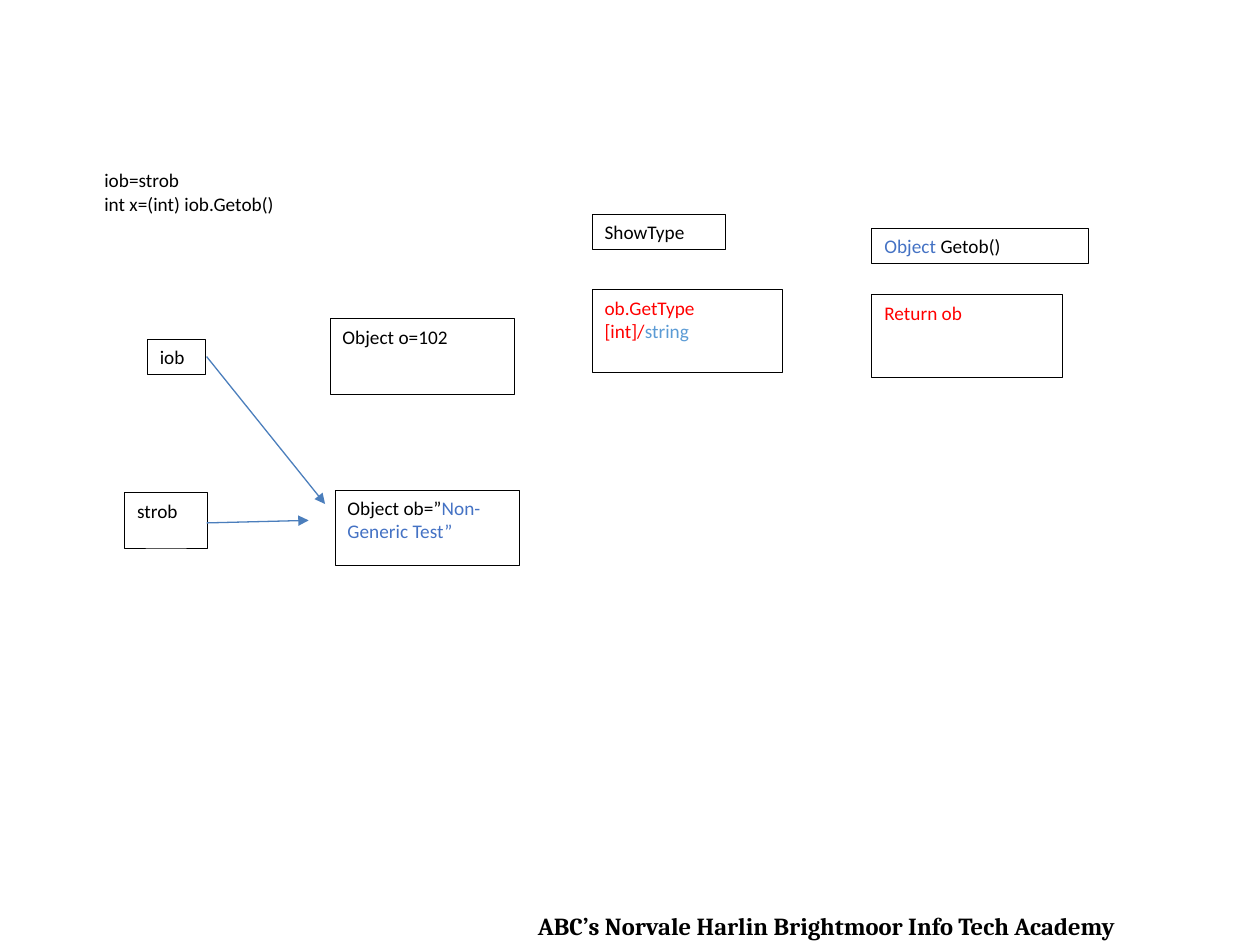
from lxml.etree import SubElement
from pptx import Presentation
from pptx.dml.color import RGBColor
from pptx.enum.shapes import MSO_CONNECTOR, MSO_SHAPE
from pptx.enum.text import MSO_ANCHOR, PP_ALIGN
from pptx.oxml.ns import qn
from pptx.util import Inches, Pt

BLACK, WHITE, RED = "000000", "FFFFFF", "FF0000"
BLUE, SKY, STEEL = "4472C4", "5B9BD5", "4B7EBC"


def color(code):
    return RGBColor.from_string(code)


def write(shape, lines, size=11, face="Calibri", bold=False, align=PP_ALIGN.LEFT):
    """Fill a shape with lines, each a list of (text, colour) runs."""
    frame = shape.text_frame
    frame.word_wrap = True
    frame.vertical_anchor = MSO_ANCHOR.TOP
    for i, line in enumerate(lines):
        para = frame.paragraphs[0] if i == 0 else frame.add_paragraph()
        para.alignment = align
        for text, code in line:
            run = para.add_run()
            run.text = text
            run.font.size = Pt(size)
            run.font.name = face
            run.font.bold = bold
            run.font.color.rgb = color(code)


def add_label(slide, x, y, w, h, lines, **style):
    label = slide.shapes.add_textbox(Inches(x), Inches(y), Inches(w), Inches(h))
    write(label, lines, **style)


def add_box(slide, x, y, w, h, *lines):
    box = slide.shapes.add_shape(
        MSO_SHAPE.RECTANGLE, Inches(x), Inches(y), Inches(w), Inches(h))
    box.shadow.inherit = False
    box.fill.solid()
    box.fill.fore_color.rgb = color(WHITE)
    box.line.color.rgb = color(BLACK)
    box.line.width = Pt(0.5)
    write(box, lines)


def add_arrow(slide, x1, y1, x2, y2):
    arrow = slide.shapes.add_connector(
        MSO_CONNECTOR.STRAIGHT, Inches(x1), Inches(y1), Inches(x2), Inches(y2))
    arrow.line.color.rgb = color(STEEL)
    arrow.line.width = Pt(0.75)
    SubElement(arrow.line._get_or_add_ln(), qn("a:tailEnd"), type="triangle")
    SubElement(arrow._element.spPr, qn("a:effectLst"))


def add_code(slide, x, y, w, h):
    add_label(slide, x, y, w, h,
              [[("iob=strob", BLACK)], [("int x=(int) iob.Getob()", BLACK)]])


def add_objects(slide, x, y):
    """Variables on the left, the objects they refer to on the right."""
    add_box(slide, x + 0.18, y + 0.16, 0.46, 0.28, [("iob", BLACK)])
    add_box(slide, x + 1.63, y, 1.46, 0.6, [("Object o=102", BLACK)])
    add_box(slide, x, y + 1.38, 0.66, 0.44, [("strob", BLACK)])
    add_box(slide, x + 1.67, y + 1.36, 1.46, 0.6,
            [("Object ob=”", BLACK), ("Non-Generic Test”", BLUE)])
    add_arrow(slide, x + 0.65, y + 0.3, x + 1.59, y + 1.47)
    add_arrow(slide, x + 0.65, y + 1.62, x + 1.46, y + 1.6)


def add_method(slide, x, y, w, gap, head, *body):
    """A method's name with its body in a box below."""
    add_box(slide, x, y, w, 0.28, head)
    add_box(slide, x, y + gap, 1.51, 0.66, *body)


def add_footer(slide, x, y, w, h):
    add_label(slide, x, y, w, h,
              [[("ABC’s Norvale Harlin Brightmoor Info Tech Academy", BLACK)]],
              size=14, face="Cambria", bold=True, align=PP_ALIGN.CENTER)


def main():
    deck = Presentation()
    deck.slide_width, deck.slide_height = Inches(10), Inches(7.5)
    slide = deck.slides.add_slide(deck.slide_layouts[6])
    add_footer(slide, 3.12, 7.18, 6.88, 0.32)
    add_code(slide, 0.73, 1.29, 3, 0.47)
    add_objects(slide, 0.99, 2.53)
    add_method(slide, 4.7, 1.7, 1.06, 0.6, [("ShowType", BLACK)],
               [("ob.GetType", RED)], [("[int]/", RED), ("string", SKY)])
    add_method(slide, 6.92, 1.81, 1.72, 0.53,
               [("Object", BLUE), (" Getob()", BLACK)], [("Return ob", RED)])
    deck.save("out.pptx")


if __name__ == "__main__":
    main()
